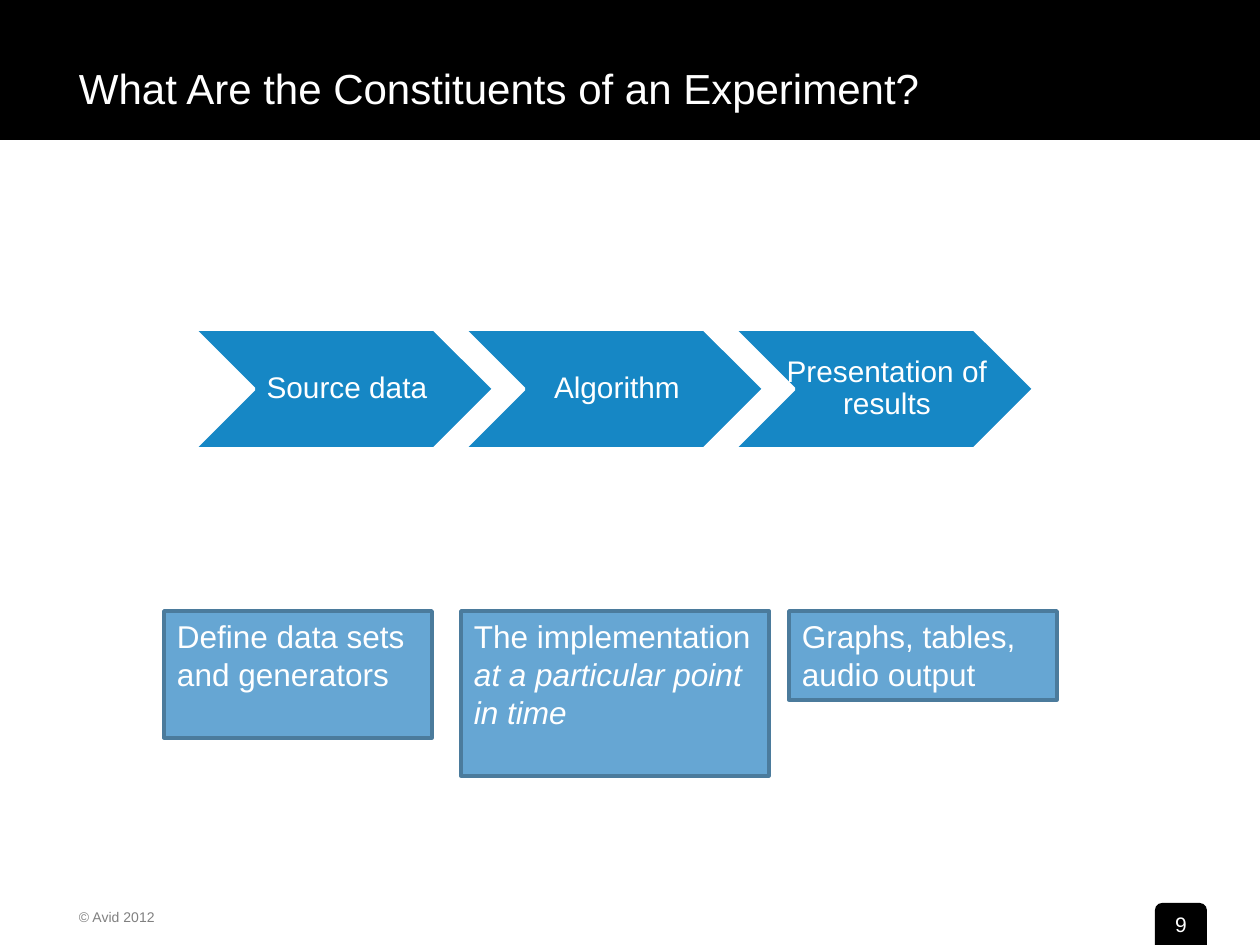
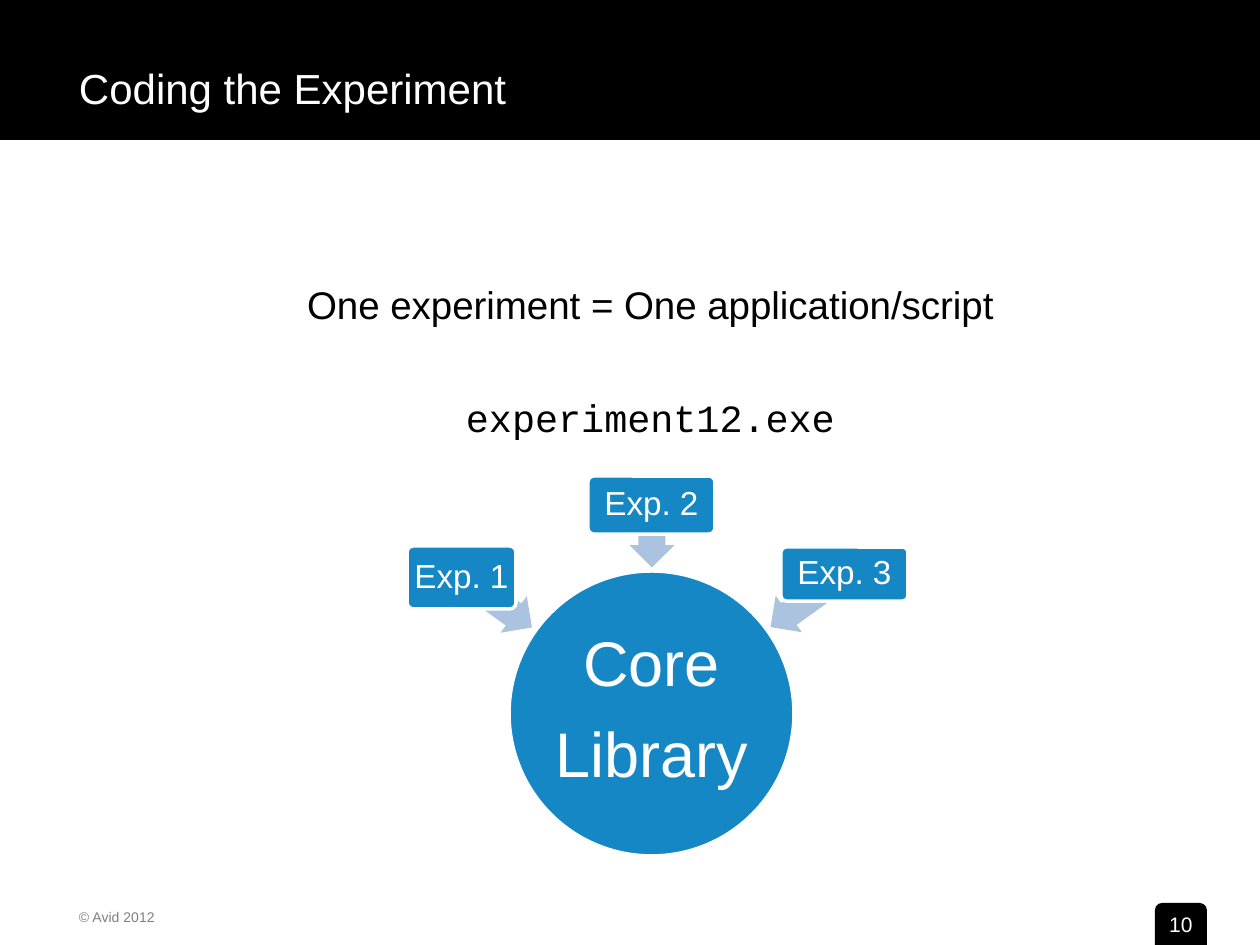
import pptx
import pptx.dml.color
import pptx.enum.shapes
import pptx.enum.text
import pptx.util

RGBColor = pptx.dml.color.RGBColor
SHAPE = pptx.enum.shapes.MSO_SHAPE
ALIGN = pptx.enum.text.PP_ALIGN
ANCHOR = pptx.enum.text.MSO_ANCHOR

BLACK = RGBColor(0x00, 0x00, 0x00)
WHITE = RGBColor(0xFF, 0xFF, 0xFF)
GREY = RGBColor(0x80, 0x80, 0x80)
BLUE = RGBColor(0x16, 0x87, 0xC5)
ARROW_BLUE = RGBColor(0xAC, 0xC3, 0xDF)
NOTE_BLUE = RGBColor(0x66, 0xA6, 0xD3)
NOTE_EDGE = RGBColor(0x4B, 0x7B, 0x9C)

PX = 914400 / 126
WIDTH, HEIGHT = 1260, 945


def write_text(shape, text, size=18, color=WHITE, font="Arial", align=ALIGN.CENTER,
               anchor=ANCHOR.MIDDLE, wrap=True, insets=(13, 6, 13, 6),
               line_spacing=None, gap=0, italic_tail=""):
    frame = shape.text_frame
    frame.word_wrap = wrap
    frame.auto_size = pptx.enum.text.MSO_AUTO_SIZE.NONE
    frame.vertical_anchor = anchor
    frame.margin_left, frame.margin_top, frame.margin_right, frame.margin_bottom = (
        round(inset * PX) for inset in insets)
    frame.text = text
    if italic_tail:
        frame.paragraphs[-1].add_run().text = italic_tail
    for index, paragraph in enumerate(frame.paragraphs):
        paragraph.alignment = align
        paragraph.line_spacing = line_spacing
        paragraph.space_before = pptx.util.Pt(gap if index else 0)
        for run in paragraph.runs:
            run.font.size = pptx.util.Pt(size)
            run.font.name = font
            run.font.color.rgb = color
            run.font.italic = run.text == italic_tail


def add_box(slide, kind, bounds, fill, line=None, adjustments=(), rotation=0):
    shape = slide.shapes.add_shape(kind, *(round(length * PX) for length in bounds))
    shape.shadow.inherit = False
    shape.fill.solid()
    shape.fill.fore_color.rgb = fill
    if line is None:
        shape.line.fill.background()
    else:
        shape.line.color.rgb = line
        shape.line.width = pptx.util.Pt(2)
    for index, value in enumerate(adjustments):
        shape.adjustments[index] = value
    shape.rotation = rotation
    return shape


presentation = pptx.Presentation()
presentation.slide_width = round(WIDTH * PX)
presentation.slide_height = round(HEIGHT * PX)

slides = []
for number, heading in [(9, "What Are the Constituents of an Experiment?"),
                        (10, "Coding the Experiment")]:
    slide = presentation.slides.add_slide(presentation.slide_layouts[5])
    slides.append(slide)
    band = add_box(slide, SHAPE.RECTANGLE, (0, 0, WIDTH, 140), BLACK)
    slide.shapes._spTree.insert(2, band._element)
    title = slide.shapes.title
    title.left, title.top, title.width, title.height = (
        round(length * PX) for length in (66, 35, 1134, 105))
    write_text(title, heading, size=24, align=ALIGN.LEFT)
    footer = slide.shapes.add_textbox(*(round(length * PX) for length in (66, 903, 231, 30)))
    write_text(footer, "© Avid 2012", size=8, color=GREY, align=ALIGN.LEFT, anchor=ANCHOR.TOP)
    page_tab = add_box(slide, SHAPE.ROUND_2_SAME_RECTANGLE, (1155, 903, 52, 42), BLACK,
                       adjustments=(0.17, 0))
    write_text(page_tab, str(number), size=12, wrap=False, insets=(0, 0, 0, 2))

constituents, coding = slides

for index, stage in enumerate(["Source data", "Algorithm", "Presentation of\vresults"]):
    chevron = add_box(constituents, SHAPE.CHEVRON, (194 + 270 * index, 329, 300, 120),
                      BLUE, WHITE)
    write_text(chevron, stage, size=17, wrap=False, insets=(6, 0, 0, 0), line_spacing=0.9)

for left, width, height, note, emphasis in [
    (164, 268, 127, "Define data sets and generators", ""),
    (461, 308, 165, "The implementation ", "at a particular point in time"),
    (789, 268, 89, "Graphs, tables, audio output", ""),
]:
    note_box = add_box(constituents, SHAPE.RECTANGLE, (left, 611, width, height),
                       NOTE_BLUE, NOTE_EDGE)
    write_text(note_box, note, align=ALIGN.LEFT, anchor=ANCHOR.TOP, italic_tail=emphasis)

statement = coding.shapes.add_textbox(*(round(length * PX) for length in (164, 275, 973, 228)))
write_text(statement, "One experiment = One application/script\nexperiment12.exe", size=22,
           color=BLACK, anchor=ANCHOR.TOP, gap=38)
statement.text_frame.paragraphs[1].runs[0].font.name = "Courier New"

core = add_box(coding, SHAPE.OVAL, (509, 571, 285, 285), BLUE, WHITE)
write_text(core, "Core\nLibrary", size=36, wrap=False, insets=(0, 0, 0, 4),
           line_spacing=0.9, gap=13)

for label, box_bounds, arrow_bounds, rotation in [
    ("Exp. 1", (407, 546, 109, 63), (454, 580, 86, 45), 215.5),
    ("Exp. 2", (588, 476, 127, 58), (621, 514, 62, 45), 270),
    ("Exp. 3", (781, 547, 127, 54), (762, 578, 91, 45), 324.2),
]:
    add_box(coding, SHAPE.LEFT_ARROW, arrow_bounds, ARROW_BLUE,
            adjustments=(0.6, 0.5), rotation=rotation)
    experiment = add_box(coding, SHAPE.ROUNDED_RECTANGLE, box_bounds, BLUE, WHITE,
                         adjustments=(0.1,))
    write_text(experiment, label, size=19, wrap=False, insets=(0, 0, 0, 0), line_spacing=0.9)

presentation.save("out.pptx")
